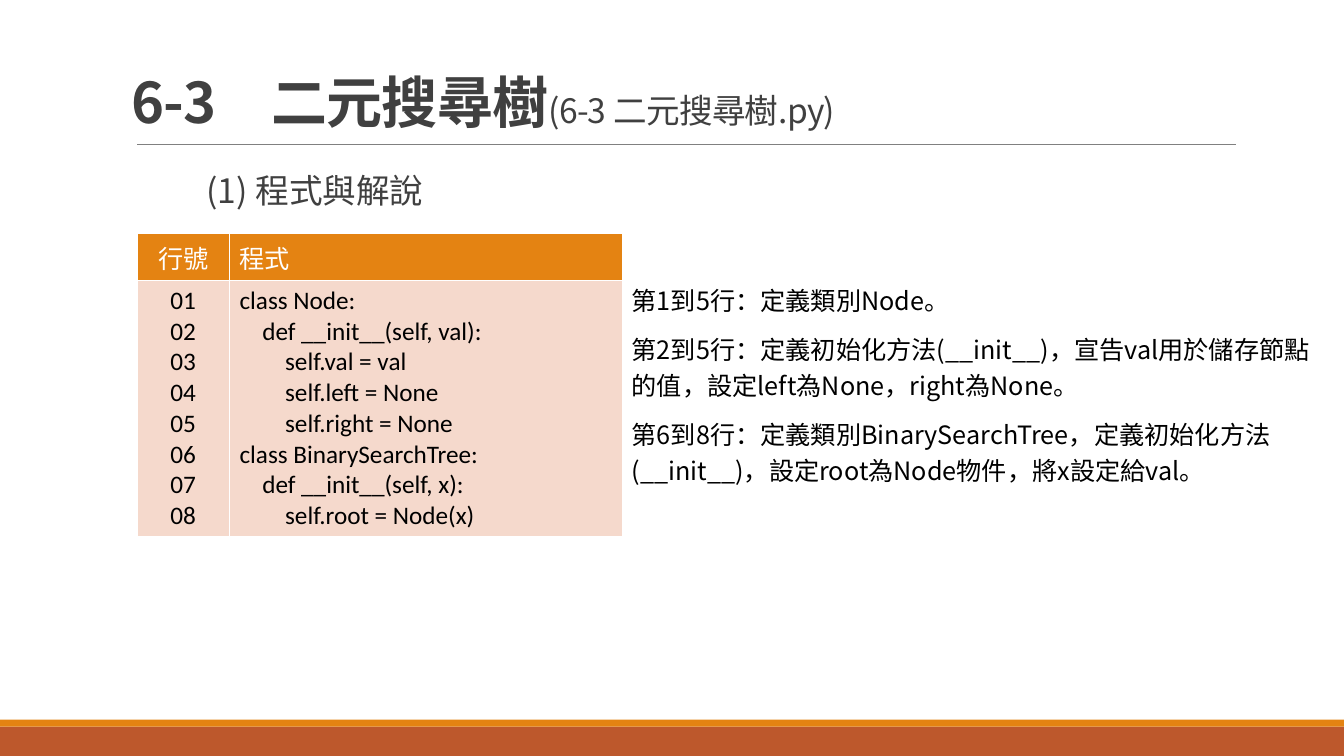
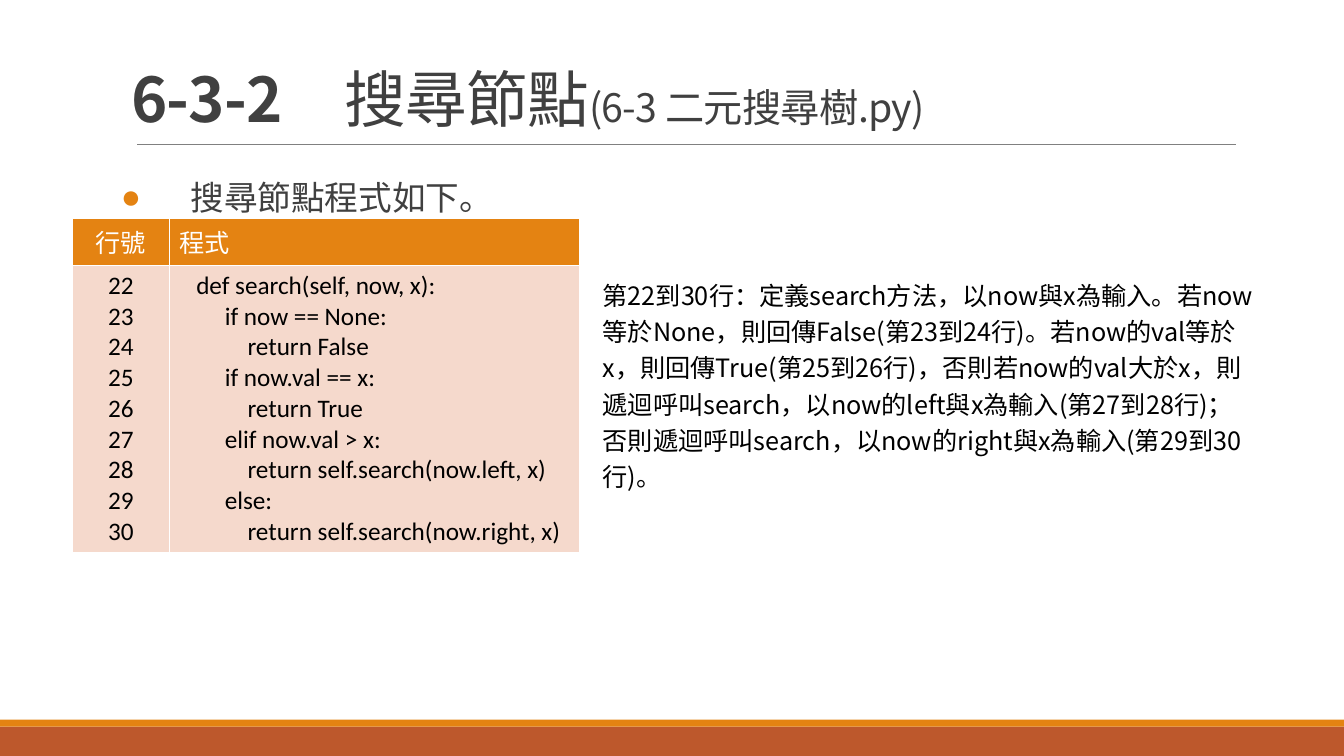
"""Two slides explaining the code of a binary search tree."""
from dataclasses import dataclass
from typing import Optional

import lxml.etree
import pptx
import pptx.dml.color
import pptx.enum.shapes
import pptx.enum.text
import pptx.oxml.ns
import pptx.presentation
import pptx.slide
import pptx.table
import pptx.text.text
import pptx.util

Pt = pptx.util.Pt
RGBColor = pptx.dml.color.RGBColor
qn = pptx.oxml.ns.qn

ORANGE = RGBColor(0xE4, 0x83, 0x12)
RUST = RGBColor(0xBD, 0x58, 0x2C)
PALE = RGBColor(0xF5, 0xD9, 0xCC)
WHITE = RGBColor(0xFF, 0xFF, 0xFF)
BLACK = RGBColor(0, 0, 0)
DARK = RGBColor(0x40, 0x40, 0x40)
GRAY = RGBColor(0x80, 0x80, 0x80)

TEXT_FONT = "Noto Sans CJK SC"
CODE_FONT = "Calibri"
SLIDE_WIDTH, SLIDE_HEIGHT = 960, 540
CODE_SIZE = 18
LINE_HEIGHT = 1.2 * CODE_SIZE
CELL_PADDING = 7.2
SPACE_WIDTH = 4.07  # one space of the code font at CODE_SIZE
LIST_INDENT = 49.7


@dataclass(frozen=True)
class Box:
    """A rectangle in points."""
    left: float
    top: float
    width: float
    height: float

    def lengths(self) -> tuple:
        """Return the four measures as lengths."""
        return tuple(Pt(value) for value in
                     (self.left, self.top, self.width, self.height))


@dataclass(frozen=True)
class Band:
    """A filled strip across the foot of the slide."""
    box: Box
    color: RGBColor


@dataclass(frozen=True)
class TitlePart:
    """A stretch of the title in one size and weight."""
    text: str
    size: float
    bold: bool


@dataclass(frozen=True)
class Listing:
    """A numbered piece of code shown as a table."""
    left: float
    top: float
    column_widths: tuple[float, float]
    first_number: int
    code: str


@dataclass(frozen=True)
class CodeSlide:
    """Everything that differs between the slides."""
    title: tuple[TitlePart, ...]
    heading: str
    heading_box: Box
    bullet: Optional[str]
    listing: Listing
    explanation_box: Box
    explanations: tuple[str, ...]


TITLE_BOX = Box(86.4, 22.3, 792, 77.8)
BANDS = (
    Band(Box(0, 519, SLIDE_WIDTH, 21), RUST),
    Band(Box(0, 514, SLIDE_WIDTH, 5), ORANGE),
)
RULE = Box(97.9, 103, 784.8, 0)

SLIDES = (
    CodeSlide(
        title=(TitlePart("6-3\u3000二元搜尋樹", 40, True),
               TitlePart("(6-3 二元搜尋樹.py)", 24, False)),
        heading="(1) 程式與解說",
        heading_box=Box(97.9, 103.7, 792, 414),
        bullet=None,
        listing=Listing(97.9, 167, (66, 280.5), 1, """\
class Node:
    def __init__(self, val):
        self.val = val
        self.left = None
        self.right = None
class BinarySearchTree:
    def __init__(self, x):
        self.root = Node(x)"""),
        explanation_box=Box(444.2, 195.8, 503.3, 156.2),
        explanations=(
            "第1到5行：定義類別Node。",
            "第2到5行：定義初始化方法(__init__)，宣告val用於儲存節點的值，"
            "設定left為None，right為None。",
            "第6到8行：定義類別BinarySearchTree，定義初始化方法(__init__)，"
            "設定root為Node物件，將x設定給val。",
        ),
    ),
    CodeSlide(
        title=(TitlePart("6-3-2\u3000", 44, True),
               TitlePart("搜尋節點", 44, False),
               TitlePart("(6-3 二元搜尋樹.py)", 28, False)),
        heading="搜尋節點程式如下。",
        heading_box=Box(86.4, 108, 792, 414),
        bullet="●",
        listing=Listing(51.8, 156.2, (69, 293), 22, """\
   def search(self, now, x):
        if now == None:
            return False
        if now.val == x:
            return True
        elif now.val > x:
            return self.search(now.left, x)
        else:
            return self.search(now.right, x)"""),
        explanation_box=Box(423.4, 192.2, 480.2, 162),
        explanations=(
            "第22到30行：定義search方法，以now與x為輸入。若now等於None，"
            "則回傳False(第23到24行)。若now的val等於x，則回傳True(第25到26行)，"
            "否則若now的val大於x，則遞迴呼叫search，以now的left與x為輸入"
            "(第27到28行)；否則遞迴呼叫search，以now的right與x為輸入"
            "(第29到30行)。",
        ),
    ),
)


def set_font(paragraph: pptx.text.text._Paragraph, color: RGBColor,
             size: Optional[float] = None, name: str = TEXT_FONT) -> None:
    """Set the font of a whole paragraph, East Asian text included."""
    font = paragraph.font
    font.name = name
    font.color.rgb = color
    if size is not None:
        font.size = Pt(size)
    properties = paragraph._p.get_or_add_pPr().find(qn("a:defRPr"))
    lxml.etree.SubElement(properties, qn("a:ea"), typeface=TEXT_FONT)


def set_spacing(paragraph: pptx.text.text._Paragraph, lines: float) -> None:
    """Set the line spacing and the gaps shared by all running text."""
    paragraph.line_spacing = lines
    paragraph.space_before = Pt(6)
    paragraph.space_after = Pt(3)


def set_indent(paragraph: pptx.text.text._Paragraph, margin: float,
               first_line: float = 0) -> None:
    """Set the left margin and first-line indent."""
    properties = paragraph._p.get_or_add_pPr()
    properties.set("marL", str(Pt(margin)))
    properties.set("indent", str(Pt(first_line)))


def set_bullet(paragraph: pptx.text.text._Paragraph,
               character: Optional[str]) -> None:
    """Give the paragraph an orange bullet, or none."""
    properties = paragraph._p.get_or_add_pPr()
    if character is None:
        lxml.etree.SubElement(properties, qn("a:buNone"))
        return
    color = lxml.etree.SubElement(properties, qn("a:buClr"))
    lxml.etree.SubElement(color, qn("a:srgbClr"), val=str(ORANGE))
    lxml.etree.SubElement(properties, qn("a:buChar"), char=character)


def decorate_layout(layout: pptx.slide.SlideLayout,
                    slide: pptx.slide.Slide) -> None:
    """Draw bands and title rule on the slide and hand them to its layout."""
    shapes = []
    for band in BANDS:
        shape = slide.shapes.add_shape(
            pptx.enum.shapes.MSO_SHAPE.RECTANGLE, *band.box.lengths())
        shape.shadow.inherit = False
        shape.fill.solid()
        shape.fill.fore_color.rgb = band.color
        shape.line.fill.background()
        shapes.append(shape)
    rule = slide.shapes.add_connector(
        pptx.enum.shapes.MSO_CONNECTOR.STRAIGHT, Pt(RULE.left), Pt(RULE.top),
        Pt(RULE.left + RULE.width), Pt(RULE.top))
    rule.line.color.rgb = GRAY
    rule.line.width = Pt(0.5)
    lxml.etree.SubElement(rule.element.spPr, qn("a:effectLst"))
    shapes.append(rule)
    for number, shape in enumerate(shapes, start=101):
        shape.element.xpath("./*/p:cNvPr")[0].set("id", str(number))
        layout.shapes.element.append(shape.element)


def fill_title(slide: pptx.slide.Slide, parts: tuple[TitlePart, ...]) -> None:
    """Write the title in the title placeholder."""
    title = slide.shapes.title
    title.left, title.top, title.width, title.height = TITLE_BOX.lengths()
    frame = title.text_frame
    frame.auto_size = pptx.enum.text.MSO_AUTO_SIZE.NONE
    frame.vertical_anchor = pptx.enum.text.MSO_ANCHOR.BOTTOM
    paragraph = frame.paragraphs[0]
    paragraph.alignment = pptx.enum.text.PP_ALIGN.LEFT
    paragraph.line_spacing = 0.85
    set_font(paragraph, DARK)
    for part in parts:
        run = paragraph.add_run()
        run.text = part.text
        run.font.size = Pt(part.size)
        run.font.bold = part.bold
        run._r.get_or_add_rPr().set("spc", "-50")


def fill_heading(slide: pptx.slide.Slide, content: CodeSlide) -> None:
    """Write the heading in the body placeholder."""
    body = slide.placeholders[1]
    body.left, body.top, body.width, body.height = content.heading_box.lengths()
    frame = body.text_frame
    frame.auto_size = pptx.enum.text.MSO_AUTO_SIZE.NONE
    frame.margin_left = frame.margin_right = 0
    frame.text = content.heading
    paragraph = frame.paragraphs[0]
    set_indent(paragraph, LIST_INDENT, -LIST_INDENT if content.bullet else 0)
    set_bullet(paragraph, content.bullet)
    set_spacing(paragraph, 1.5)
    set_font(paragraph, DARK, 24)


def fill_cell(cell: pptx.table._Cell, lines: list[str], background: RGBColor,
              color: RGBColor, centred: bool) -> None:
    """Write lines in a cell, turning leading spaces into indents."""
    properties = cell._tc.get_or_add_tcPr()
    for side in ("a:lnL", "a:lnR", "a:lnT", "a:lnB"):
        border = lxml.etree.SubElement(properties, qn(side), w=str(Pt(1)))
        fill = lxml.etree.SubElement(border, qn("a:solidFill"))
        lxml.etree.SubElement(fill, qn("a:srgbClr"), val=str(WHITE))
    cell.fill.solid()
    cell.fill.fore_color.rgb = background
    cell.text = "\n".join(line.lstrip() for line in lines)
    for paragraph, line in zip(cell.text_frame.paragraphs, lines):
        set_indent(paragraph, SPACE_WIDTH * (len(line) - len(line.lstrip())))
        if centred:
            paragraph.alignment = pptx.enum.text.PP_ALIGN.CENTER
        set_font(paragraph, color, CODE_SIZE, CODE_FONT)
        paragraph.font.bold = False


def add_listing(slide: pptx.slide.Slide, listing: Listing) -> None:
    """Add the table of line numbers and code."""
    code = listing.code.splitlines()
    numbers = [f"{listing.first_number + row:02d}" for row in range(len(code))]
    heights = [LINE_HEIGHT * count + CELL_PADDING for count in (1, len(code))]
    box = Box(listing.left, listing.top, sum(listing.column_widths), sum(heights))
    table = slide.shapes.add_table(2, 2, *box.lengths()).table
    for row, height in zip(table.rows, heights):
        row.height = Pt(height)
    columns = ((["行號"], numbers), (["程式"], code))
    for index, (header, lines) in enumerate(columns):
        table.columns[index].width = Pt(listing.column_widths[index])
        fill_cell(table.cell(0, index), header, ORANGE, WHITE, index == 0)
        fill_cell(table.cell(1, index), lines, PALE, BLACK, index == 0)


def add_explanations(slide: pptx.slide.Slide, content: CodeSlide) -> None:
    """Add the explanation beside the table."""
    text_box = slide.shapes.add_textbox(*content.explanation_box.lengths())
    frame = text_box.text_frame
    frame.word_wrap = True
    frame.auto_size = pptx.enum.text.MSO_AUTO_SIZE.SHAPE_TO_FIT_TEXT
    frame.text = "\n".join(content.explanations)
    for paragraph in frame.paragraphs:
        set_spacing(paragraph, 1.2)
        set_font(paragraph, BLACK, 18)


def build() -> pptx.presentation.Presentation:
    """Build the presentation."""
    presentation = pptx.Presentation()
    presentation.slide_width = Pt(SLIDE_WIDTH)
    presentation.slide_height = Pt(SLIDE_HEIGHT)
    layout = presentation.slide_layouts[1]
    for index, content in enumerate(SLIDES):
        slide = presentation.slides.add_slide(layout)
        if index == 0:
            decorate_layout(layout, slide)
        fill_title(slide, content.title)
        fill_heading(slide, content)
        add_listing(slide, content.listing)
        add_explanations(slide, content)
    return presentation


build().save("out.pptx")
